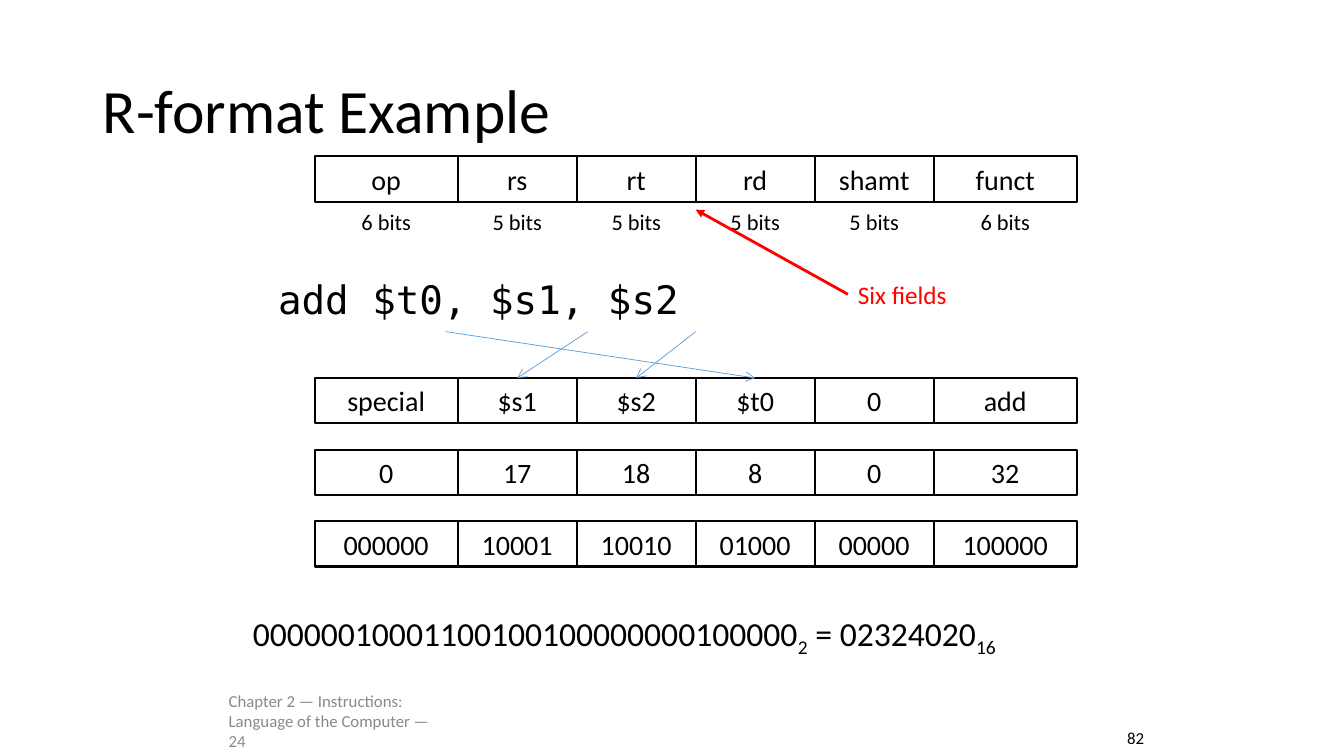
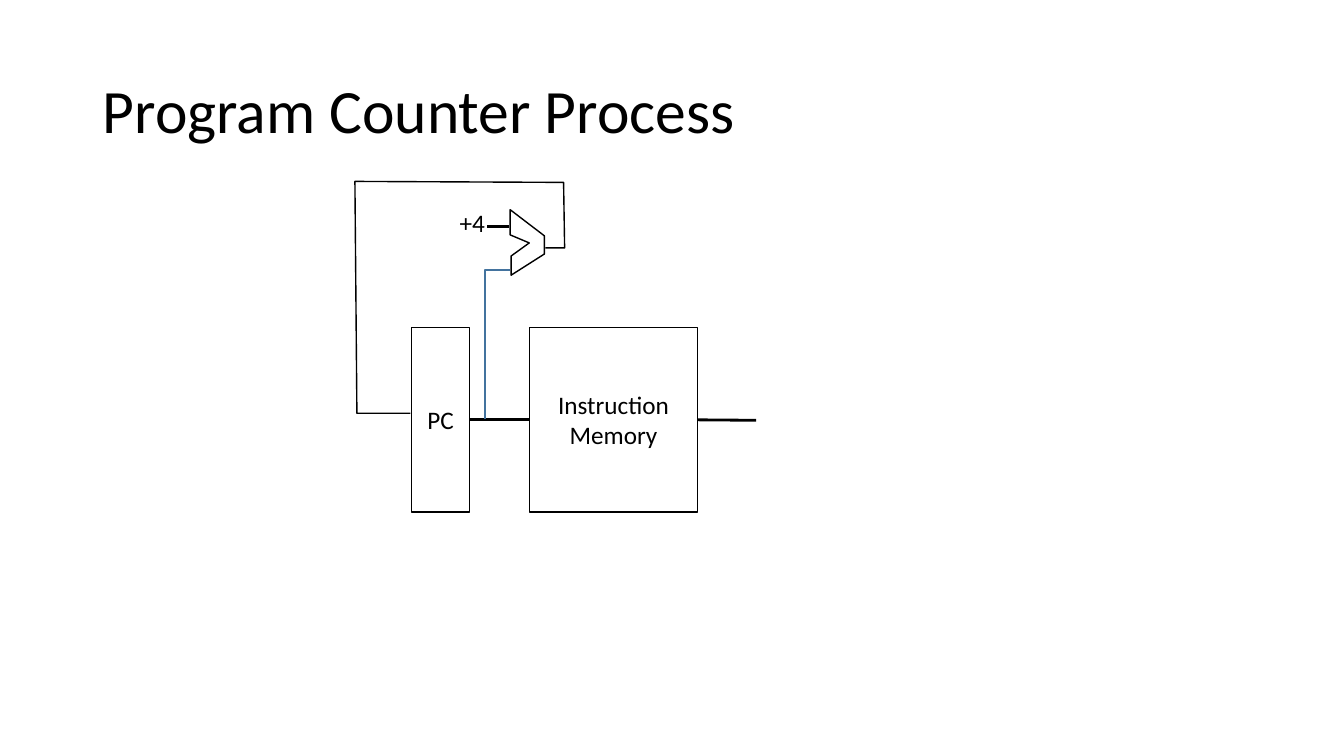
import lxml.etree
import pptx
import pptx.dml.color
import pptx.enum.shapes
import pptx.enum.text
import pptx.oxml.ns
import pptx.util

Inches = pptx.util.Inches
Pt = pptx.util.Pt
colour = pptx.dml.color.RGBColor.from_string
qn = pptx.oxml.ns.qn
ALIGN = pptx.enum.text.PP_ALIGN
ANCHOR = pptx.enum.text.MSO_ANCHOR
RECTANGLE = pptx.enum.shapes.MSO_SHAPE.RECTANGLE
STRAIGHT = pptx.enum.shapes.MSO_CONNECTOR.STRAIGHT

BLACK, RED, BLUE, DARK_BLUE, GREY = "000000", "FF0000", "5B9BD5", "43739E", "898989"
TOP, LEFT, RIGHT = 0, 1, 3


def write(box, text, size=18, color=BLACK, font="Calibri", align=ALIGN.LEFT,
          anchor=ANCHOR.TOP, wrap=True, spacing=None, before=0, indent=0):
    """Fill a shape with text; a part between underscores is a subscript."""
    frame = box.text_frame
    frame.word_wrap = wrap
    fit = pptx.enum.text.MSO_AUTO_SIZE
    frame.auto_size = fit.NONE if wrap else fit.SHAPE_TO_FIT_TEXT
    frame.vertical_anchor = anchor
    for number, line in enumerate(text.split("\n")):
        para = frame.add_paragraph() if number else frame.paragraphs[0]
        para.alignment = align
        para.space_before = Pt(before)
        if spacing:
            para.line_spacing = spacing
        if indent:
            para._p.get_or_add_pPr().set("marL", str(Inches(indent)))
        for part, words in enumerate(line.split("_")):
            if not words:
                continue
            span = para.add_run()
            span.text = words
            span.font.name = font
            span.font.size = Pt(size)
            span.font.color.rgb = colour(color)
            if part % 2:
                span.font._element.set("baseline", "-25000")


def outline(shape, color=BLACK, width=1.0, arrow=None):
    """Set the line of a shape or connector, its end arrow, and no shadow."""
    shape.line.color.rgb = colour(color)
    shape.line.width = Pt(width)
    properties = shape._element.spPr
    if arrow:
        line = properties.find(qn("a:ln"))
        lxml.etree.SubElement(line, qn("a:tailEnd"), type=arrow)
    lxml.etree.SubElement(properties, qn("a:effectLst"))


deck = pptx.Presentation()
deck.slide_width = Inches(13.33)
deck.slide_height = Inches(7.5)

pages = []
for heading in ("R-format Example", "Program Counter Process"):
    page = deck.slides.add_slide(deck.slide_layouts[5])
    title = page.shapes.title
    title.left, title.top = Inches(0.92), Inches(0.4)
    title.width, title.height = Inches(11.5), Inches(1.45)
    write(title, heading, size=44, anchor=ANCHOR.MIDDLE, spacing=0.9)
    pages.append(page)
format_page, counter_page = pages

# R-format: four rows of six fields
shapes = format_page.shapes
field_bits = (6, 5, 5, 5, 5, 6)
field_widths = {5: 1.18, 6: 1.42}
field_rows = (
    (1.55, "op rs rt rd shamt funct"),
    (3.75, "special $s1 $s2 $t0 0 add"),
    (4.46, "0 17 18 8 0 32"),
    (5.17, "000000 10001 10010 01000 00000 100000"),
)
fields = {}
for top, row in field_rows:
    left = 3.12
    for bits, value in zip(field_bits, row.split()):
        width = field_widths[bits]
        field = shapes.add_shape(RECTANGLE, Inches(left), Inches(top),
                                 Inches(width), Inches(0.45))
        field.fill.background()
        outline(field, width=1.5)
        write(field, value, size=20, align=ALIGN.CENTER, anchor=ANCHOR.MIDDLE)
        fields[value] = field
        if top == 1.55:
            label = shapes.add_textbox(Inches(left), Inches(2.02),
                                       Inches(width), Inches(0.37))
            write(label, f"{bits} bits", size=16, align=ALIGN.CENTER)
        left += width

format_texts = (
    (2.41, 2.73, 9.05, 0.71, "add $t0, $s1, $s2",
     dict(size=28, font="DejaVu Sans Mono", spacing=0.9, before=10, indent=0.25)),
    (2.41, 6.03, 8.9, 0.55, "00000010001100100100000000100000_2_ = 02324020_16_",
     dict(size=24, before=4.8)),
    (8.41, 2.72, 1.09, 0.4, "Six fields", dict(color=RED, wrap=False)),
    (2.17, 6.95, 2.33, 0.4, "Chapter 2 — Instructions: Language of the Computer — 24",
     dict(size=12, color=GREY, anchor=ANCHOR.MIDDLE)),
    (11.08, 7.17, 0.37, 0.3, "82", dict(size=12, wrap=False)),
)
for left, top, width, height, text, style in format_texts:
    box = shapes.add_textbox(Inches(left), Inches(top), Inches(width), Inches(height))
    write(box, text, **style)

pointer = shapes.add_connector(STRAIGHT, Inches(8.41), Inches(2.92),
                               Inches(6.9), Inches(2.08))
outline(pointer, RED, 2, arrow="triangle")

for start, register in ((4.42, "$t0"), (5.83, "$s1"), (6.9, "$s2")):
    arrow = shapes.add_connector(STRAIGHT, Inches(start), Inches(3.29),
                                 Inches(start), Inches(3.75))
    arrow.end_connect(fields[register], TOP)
    outline(arrow, BLUE, 0.5, arrow="arrow")

# Program counter: two blocks, the adder and the wires between them
shapes = counter_page.shapes
blocks = []
for left, width, name in ((4.08, 0.58, "PC"), (5.25, 1.67, "Instruction\nMemory")):
    block = shapes.add_shape(RECTANGLE, Inches(left), Inches(3.25),
                             Inches(width), Inches(1.83))
    block.fill.background()
    outline(block)
    write(block, name, align=ALIGN.CENTER, anchor=ANCHOR.MIDDLE)
    blocks.append(block)
counter, memory = blocks

wires = (
    (4.67, 5.25, 4.17, counter, memory),
    (6.92, 7.5, 4.17, memory, None),
    (5.05, 4.83, 2.25, None, None),
)
for start, end, height, source, target in wires:
    wire = shapes.add_connector(STRAIGHT, Inches(start), Inches(height),
                                Inches(end), Inches(height))
    if source:
        wire.begin_connect(source, RIGHT)
    if target:
        wire.end_connect(target, LEFT)
    outline(wire, width=2)

adder = ((5.06, 2.33), (5.06, 2.08), (5.4, 2.34), (5.4, 2.52),
         (5.07, 2.73), (5.07, 2.54), (5.25, 2.41))
adder_input = ((4.81, 4.16), (4.81, 2.68), (5.06, 2.68))
feedback = ((5.41, 2.46), (5.6, 2.46), (5.59, 1.81), (3.52, 1.8), (3.54, 4.1), (4.07, 4.1))
for points, closed, color in ((adder, True, BLACK), (adder_input, False, DARK_BLUE),
                              (feedback, False, BLACK)):
    corners = [(Inches(x), Inches(y)) for x, y in points]
    builder = shapes.build_freeform(*corners[0])
    builder.add_line_segments(corners[1:], close=closed)
    path_shape = builder.convert_to_shape()
    path_shape.fill.background()
    outline(path_shape, color)

step = shapes.add_textbox(Inches(4.46), Inches(2.01), Inches(0.46), Inches(0.4))
write(step, "+4", wrap=False)

deck.save("out.pptx")
